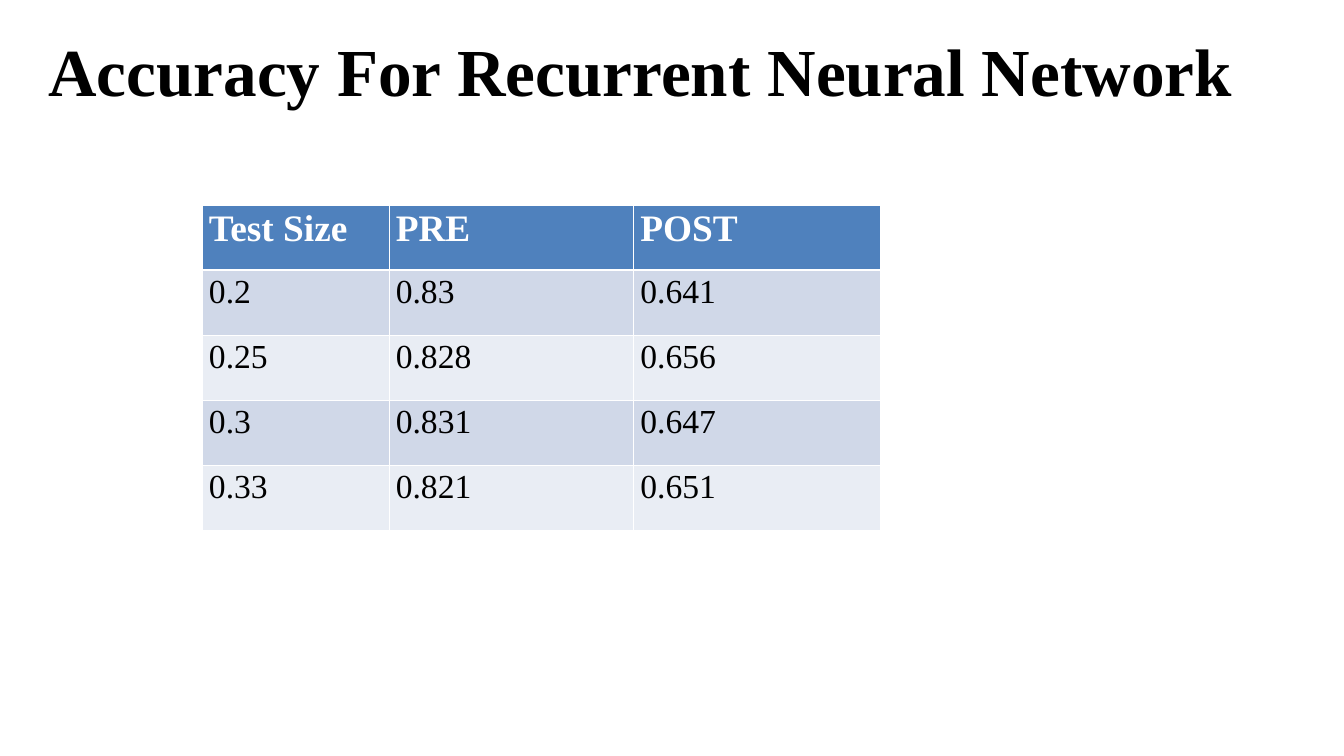
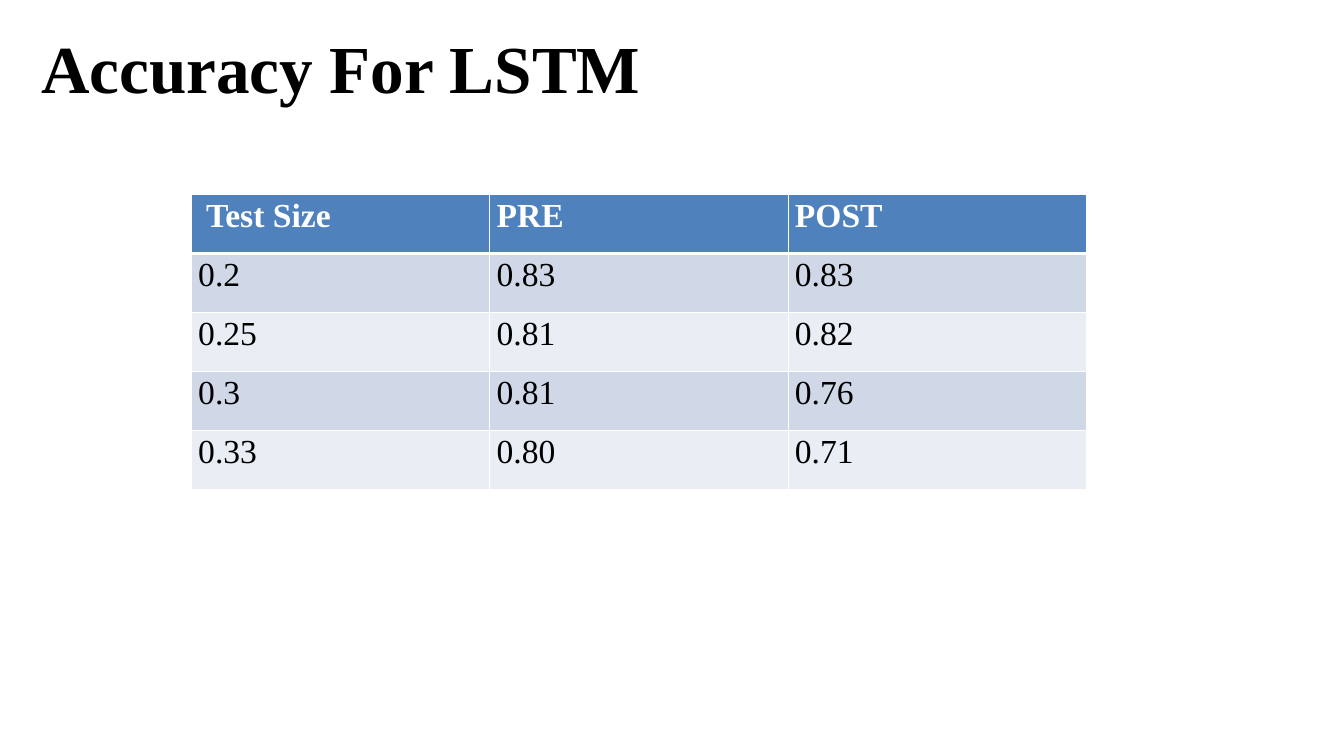
"""Build two slides that compare model accuracy before and after."""
from dataclasses import dataclass

from lxml.etree import SubElement as Sub
from pptx import Presentation
from pptx.dml.color import RGBColor as RGB
from pptx.enum.text import MSO_ANCHOR as Anchor, MSO_AUTO_SIZE as Fit, PP_ALIGN as Align
from pptx.oxml.ns import qn
from pptx.util import Inches, Pt


@dataclass(frozen=True)
class Theme:
    """Hold the shared colours, font and type sizes."""
    font: str = "Times New Roman"
    ink: str = "000000"
    white: str = "FFFFFF"
    head: str = "4F81BD"
    bands: tuple = ("D0D8E8", "E9EDF4")
    title: int = 72
    large: int = 40
    text: int = 36
    rule: int = 1
    thick: int = 3


THEME = Theme()


def set_font(para, size, color, bold):
    """Set the font of a whole paragraph."""
    font = para.font
    font.name = THEME.font
    font.size = Pt(size)
    font.bold = bold
    font.color.rgb = RGB.from_string(color)


def add_title(slide, text, box):
    """Place the slide title at the top left of its box."""
    shape = slide.shapes.title
    shape.left, shape.top, shape.width, shape.height = map(Inches, box)
    frame = shape.text_frame
    frame.text = text
    frame.word_wrap = True
    frame.auto_size = Fit.NONE
    frame.vertical_anchor = Anchor.TOP
    frame.margin_left = Inches(0.22)
    para = frame.paragraphs[0]
    para.alignment = Align.LEFT
    para.space_before = Pt(3.6)
    set_font(para, THEME.title, THEME.ink, True)


def add_rules(cell, base):
    """Draw white rules around a cell, with the given base width."""
    props = cell._tc.get_or_add_tcPr()
    for side in "LRTB":
        width = base if side == "B" else THEME.rule
        line = Sub(props, qn(f"a:ln{side}"), w=str(Pt(width)))
        fill = Sub(line, qn("a:solidFill"))
        Sub(fill, qn("a:srgbClr"), val=THEME.white)


def style_cell(cell, text, row, size):
    """Fill a cell with text in the style of its row."""
    head = row == 0
    add_rules(cell, THEME.thick if head else THEME.rule)
    cell.fill.solid()
    shade = THEME.head if head else THEME.bands[(row - 1) % 2]
    cell.fill.fore_color.rgb = RGB.from_string(shade)
    cell.text = text
    color = THEME.white if head else THEME.ink
    set_font(cell.text_frame.paragraphs[0], size if head else THEME.text, color, head)


def add_scores(slide, rows, spot, widths, height, size):
    """Add a table of scores with a header row."""
    left, top = map(Inches, spot)
    frame = slide.shapes.add_table(
        len(rows), len(widths), left, top, Inches(sum(widths)), Inches(height * len(rows)))
    table = frame.table
    for col, width in zip(table.columns, widths):
        col.width = Inches(width)
    for r, row in enumerate(rows):
        table.rows[r].height = Inches(height)
        for c, text in enumerate(row):
            style_cell(table.cell(r, c), text, r, size)


def add_page(deck, title, box, **scores):
    """Add a slide with a title and a table of scores."""
    slide = deck.slides.add_slide(deck.slide_layouts.get_by_name("Title Only"))
    add_title(slide, title, box)
    add_scores(slide, **scores)


def main():
    """Build and save the deck."""
    deck = Presentation()
    deck.slide_width, deck.slide_height = Inches(20), Inches(11.25)
    add_page(
        deck, "Accuracy For Recurrent Neural Network", (0.5, 0.38, 18.98, 10.52),
        rows=[("Test Size", "PRE", "POST"),
              ("0.2", "0.83", "0.641"),
              ("0.25", "0.828", "0.656"),
              ("0.3", "0.831", "0.647"),
              ("0.33", "0.821", "0.651")],
        spot=(3.01, 3.05), widths=(2.78, 3.64, 3.67), height=0.97, size=THEME.large)
    add_page(
        deck, "Accuracy For LSTM", (0.39, 0.34, 19.23, 10.61),
        rows=[(" Test Size", "PRE", "POST"),
              ("0.2", "0.83", "0.83"),
              ("0.25", "0.81", "0.82"),
              ("0.3", "0.81", "0.76"),
              ("0.33", "0.80", "0.71")],
        spot=(2.85, 2.89), widths=(4.44,) * 3, height=0.88, size=THEME.text)
    deck.save("out.pptx")


if __name__ == "__main__":
    main()
